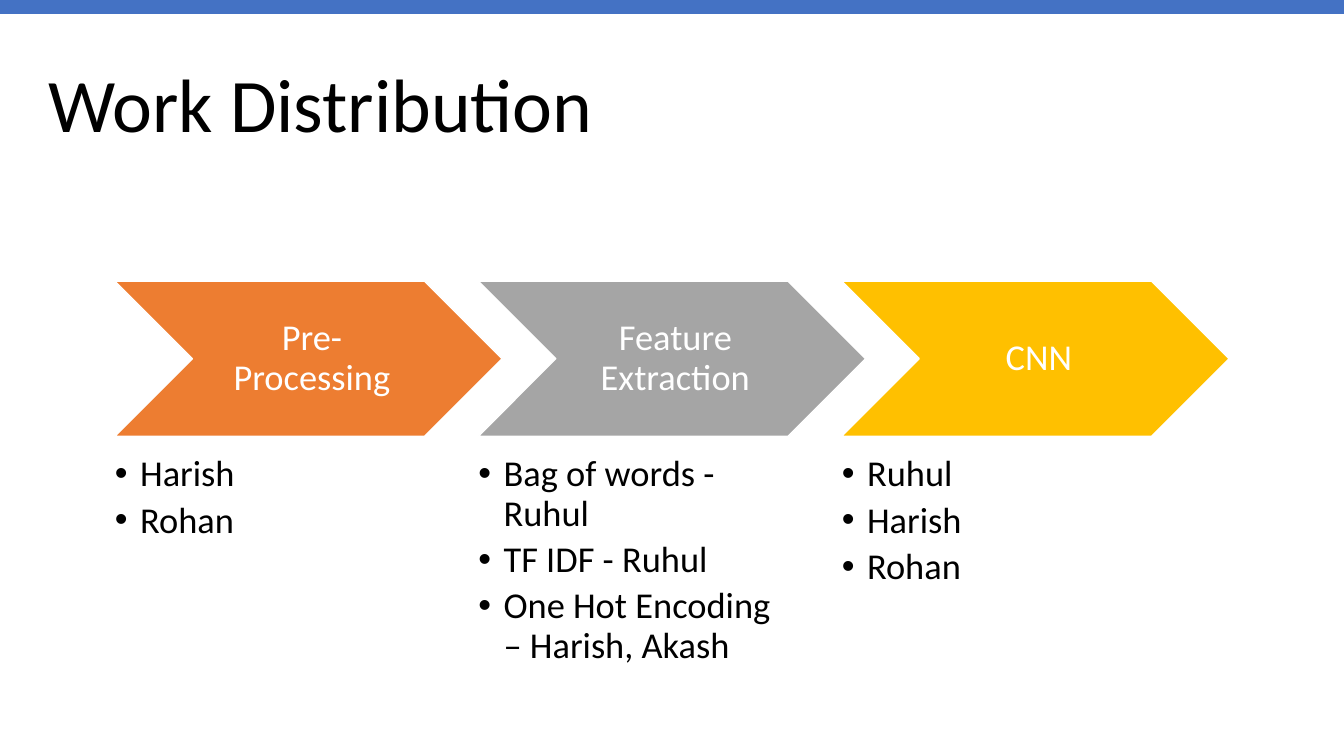
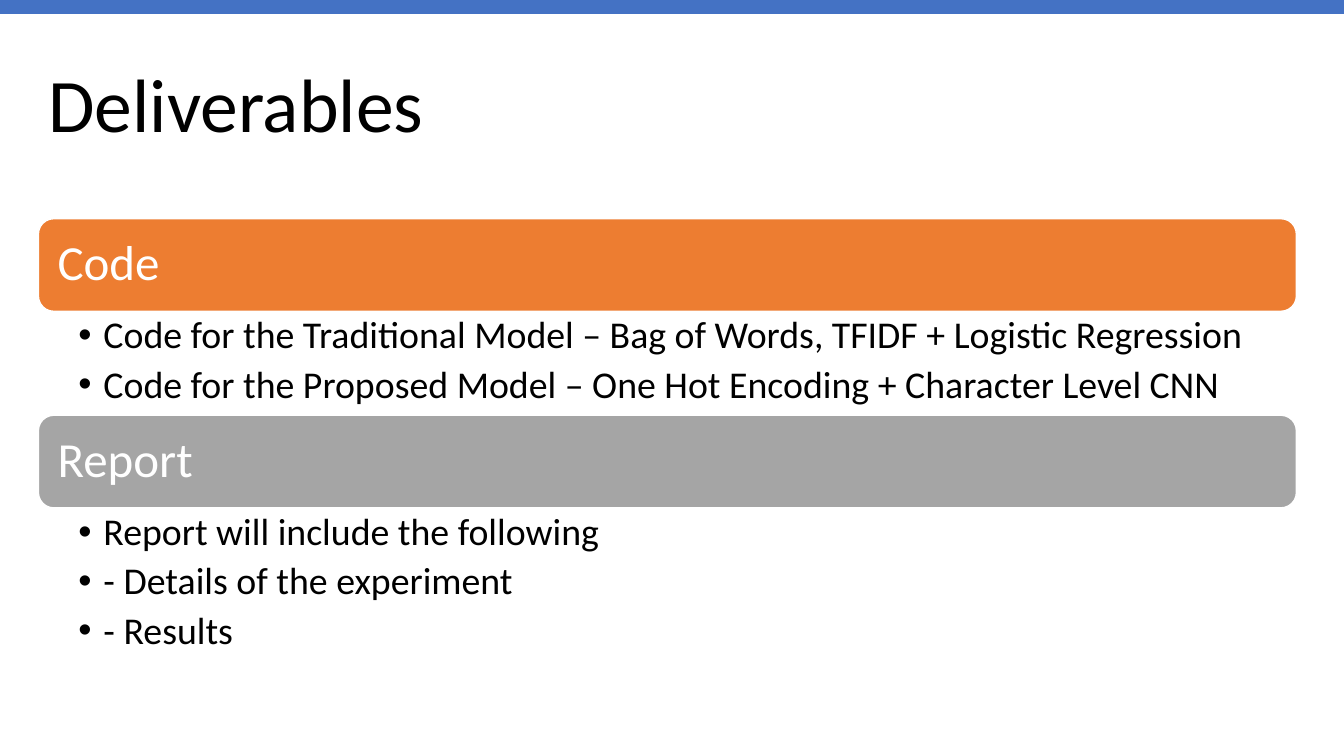
import dataclasses

import pptx
import pptx.dml.color
import pptx.enum.shapes
import pptx.enum.text
import pptx.oxml
import pptx.oxml.ns
import pptx.util

Pt = pptx.util.Pt
SHAPE = pptx.enum.shapes.MSO_SHAPE
ALIGN = pptx.enum.text.PP_ALIGN
ANCHOR = pptx.enum.text.MSO_ANCHOR


@dataclasses.dataclass(frozen=True)
class Theme:
    font: str = "Calibri"
    text: str = "000000"
    light: str = "FFFFFF"
    band: str = "4472C4"
    accents: tuple = ("ED7D31", "A5A5A5", "FFC000")
    title_size: float = 54
    step_size: float = 26
    heading_size: float = 35
    detail_size: float = 27
    line_spacing: float = 0.9
    bullet_indent: float = 18


@dataclasses.dataclass(frozen=True)
class Box:
    left: float
    top: float
    width: float
    height: float

    def lengths(self):
        return [Pt(value) for value in dataclasses.astuple(self)]


THEME = Theme()
PAGE = Box(0, 0, 960, 540)
BAND = Box(0, 0, PAGE.width, 10)
TITLE = Box(27.4, 25.2, 898.6, 104.4)
PROCESS = Box(82.1, 200.9, 795.8, 280)
SECTIONS = Box(TITLE.left, 156.2, TITLE.width, 318)

STEPS = [
    ("Pre-Processing", ["Harish", "Rohan"]),
    ("Feature Extraction", ["Bag of words - Ruhul", "TF IDF - Ruhul",
                            "One Hot Encoding – Harish, Akash"]),
    ("CNN", ["Ruhul", "Harish", "Rohan"]),
]
DELIVERABLES = [
    ("Code", ["Code for the Traditional Model – Bag of Words, TFIDF + Logistic Regression",
              "Code for the Proposed Model – One Hot Encoding + Character Level CNN"]),
    ("Report", ["Report will include the following", "- Details of the experiment",
                "- Results"]),
]


def rgb(value):
    return pptx.dml.color.RGBColor.from_string(value)


def set_frame(frame, insets, anchor):
    """Set insets in the order left, top, right, bottom."""
    frame.word_wrap = True
    frame.auto_size = pptx.enum.text.MSO_AUTO_SIZE.NONE
    frame.vertical_anchor = anchor
    (frame.margin_left, frame.margin_top,
     frame.margin_right, frame.margin_bottom) = map(Pt, insets)


def format_text(frame, size, color, align=ALIGN.LEFT, space_after=0):
    for para in frame.paragraphs:
        para.alignment = align
        para.line_spacing = THEME.line_spacing
        para.space_before = Pt(0)
        para.space_after = Pt(space_after)
        for span in para.runs:
            span.font.name = THEME.font
            span.font.size = Pt(size)
            span.font.color.rgb = rgb(color)


def add_bullet(para):
    properties = para._p.get_or_add_pPr()
    indent = Pt(THEME.bullet_indent)
    properties.set("marL", str(indent))
    properties.set("indent", str(-indent))
    namespace = pptx.oxml.ns.nsdecls("a")
    for markup in (
        f'<a:buClr {namespace}><a:srgbClr val="{THEME.text}"/></a:buClr>',
        f'<a:buFont {namespace} typeface="Arial"/>',
        f'<a:buChar {namespace} char="•"/>',
    ):
        properties.append(pptx.oxml.parse_xml(markup))


def add_filled_shape(page, kind, box, fill, outline=None):
    shape = page.shapes.add_shape(kind, *box.lengths())
    shape.shadow.inherit = False
    shape.fill.solid()
    shape.fill.fore_color.rgb = rgb(fill)
    if outline:
        shape.line.color.rgb = rgb(outline)
        shape.line.width = Pt(1)
    else:
        shape.line.fill.background()
    return shape


def add_bullet_list(page, box, items, size, space_after, insets):
    frame = page.shapes.add_textbox(*box.lengths()).text_frame
    set_frame(frame, insets, ANCHOR.TOP)
    frame.text = "\n".join(items)
    format_text(frame, size, THEME.text, space_after=space_after)
    for para in frame.paragraphs:
        add_bullet(para)


def add_page(deck, title):
    """Add a page with the shared title and top band."""
    page = deck.slides.add_slide(deck.slide_layouts[5])
    holder = page.shapes.title
    holder.left, holder.top, holder.width, holder.height = TITLE.lengths()
    holder.text_frame.text = title
    set_frame(holder.text_frame, (7.2, 3.6, 7.2, 3.6), ANCHOR.MIDDLE)
    format_text(holder.text_frame, THEME.title_size, THEME.text)
    add_filled_shape(page, SHAPE.RECTANGLE, BAND, THEME.band)
    return page


def add_process(page, box, steps):
    """Place overlapping chevrons in a row, each with a list below."""
    overlap, chevron_height, gap = 17, 110.7, 13.8
    width = (box.width + overlap * (len(steps) - 1)) / len(steps)
    for index, (name, items) in enumerate(steps):
        left = box.left + index * (width - overlap)
        # Chevron
        chevron = add_filled_shape(
            page, SHAPE.CHEVRON, Box(left, box.top, width, chevron_height),
            THEME.accents[index], THEME.light)
        set_frame(chevron.text_frame, (8, 3, 3, 3), ANCHOR.MIDDLE)
        chevron.text_frame.text = name
        format_text(chevron.text_frame, THEME.step_size, THEME.light, ALIGN.CENTER, 11)
        # Work list, ending where the chevron point begins
        offset = chevron_height + gap
        list_box = Box(left, box.top + offset, width - chevron_height / 2,
                       box.height - offset)
        add_bullet_list(page, list_box, items, THEME.step_size, 5, (0, 0, 0, 0))


def add_sections(page, box, sections):
    """Stack rounded headings, each followed by its list."""
    heading_height = 66.2
    list_heights = {2: 74.2, 3: 110.9}
    top = box.top
    for index, (name, items) in enumerate(sections):
        # Heading bar
        heading = add_filled_shape(
            page, SHAPE.ROUNDED_RECTANGLE, Box(box.left, top, box.width, heading_height),
            THEME.accents[index], THEME.light)
        set_frame(heading.text_frame, (10.5, 10.5, 10.5, 10.5), ANCHOR.MIDDLE)
        heading.text_frame.text = name
        format_text(heading.text_frame, THEME.heading_size, THEME.light, space_after=15)
        top += heading_height
        # Detail list
        height = list_heights[len(items)]
        add_bullet_list(page, Box(box.left, top, box.width, height), items,
                        THEME.detail_size, 6, (28.5, 3.6, 19.4, 3.6))
        top += height


def main():
    deck = pptx.Presentation()
    deck.slide_width, deck.slide_height = Pt(PAGE.width), Pt(PAGE.height)
    add_process(add_page(deck, "Work Distribution"), PROCESS, STEPS)
    add_sections(add_page(deck, "Deliverables"), SECTIONS, DELIVERABLES)
    deck.save("out.pptx")


if __name__ == "__main__":
    main()
